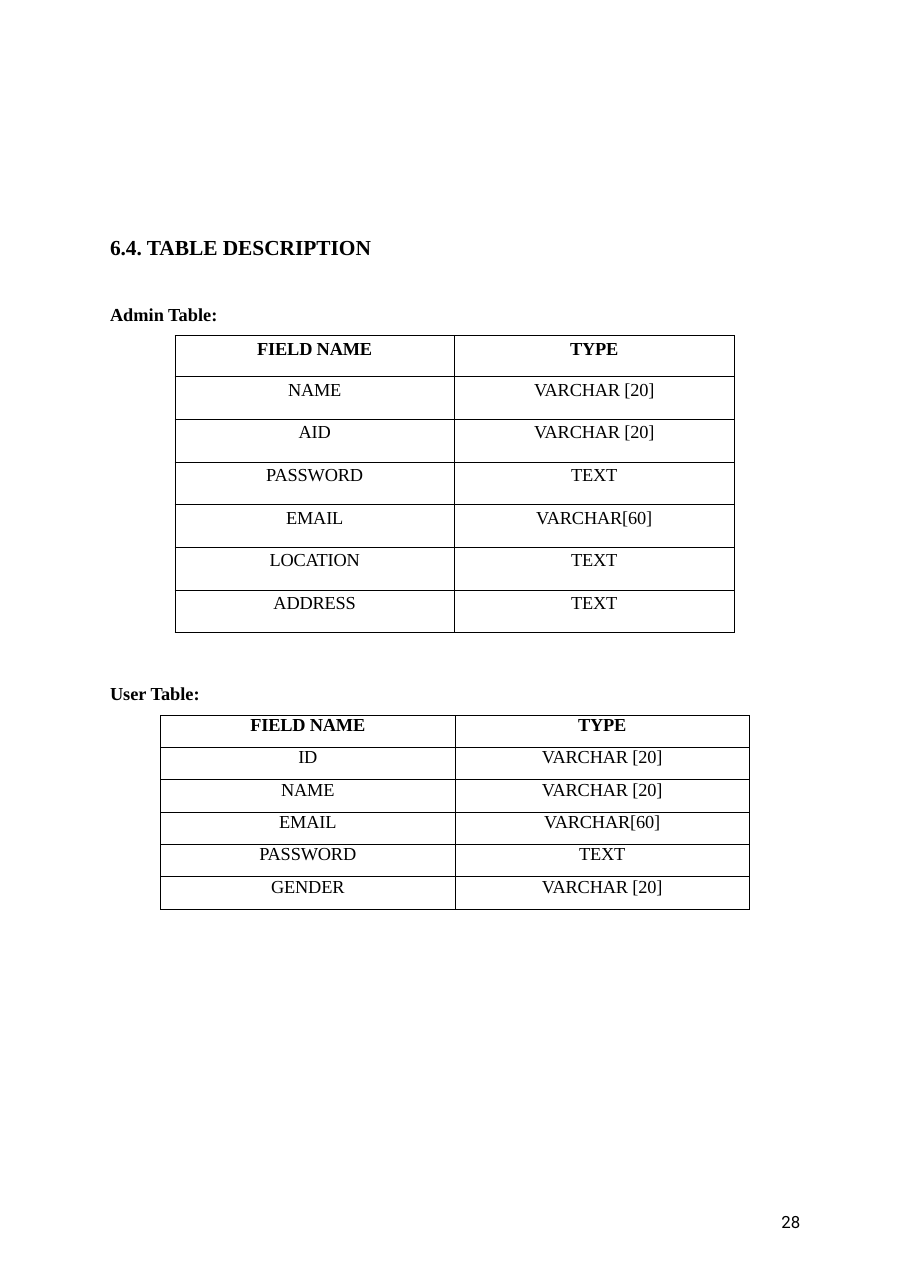
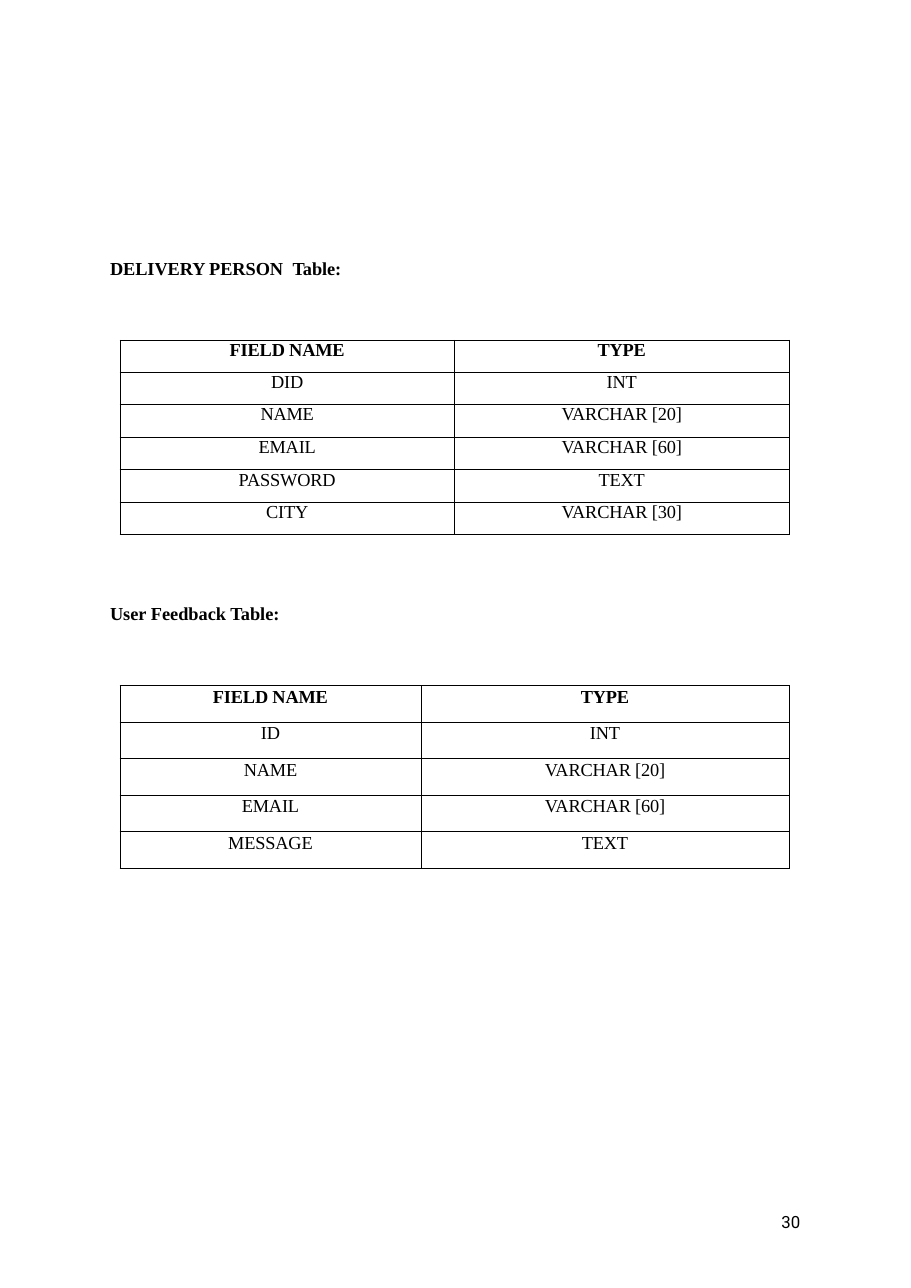
import pptx
import pptx.dml.color
import pptx.enum.text
import pptx.oxml
import pptx.oxml.ns
import pptx.util

Inches = pptx.util.Inches
BLACK = pptx.dml.color.RGBColor(0, 0, 0)
SERIF = "Times New Roman"
SANS = "Roboto"
PAGE_WIDTH = pptx.util.Pt(596)
PAGE_HEIGHT = pptx.util.Pt(842.5)
MARGIN = 1.0
HEADING_WIDTH = 6.28
BODY_SIZE = 12
BORDER_SIDES = ("a:lnL", "a:lnR", "a:lnT", "a:lnB")
HEADER = ("FIELD NAME", "TYPE")

PAGES = [
    {
        "number": "28",
        "title": (["6.4. TABLE DESCRIPTION"], 14, 2.13),
        "headings": [("Admin Table:", 2.75), ("User Table:", 6.2)],
        "tables": [
            {"left": 1.59, "top": 3.05, "width": 5.08, "height": 2.7,
             "header": 0.37, "share": 0.5, "inset": 0.03,
             "fields": [("NAME", "VARCHAR [20]"), ("AID", "VARCHAR [20]"),
                        ("PASSWORD", "TEXT"), ("EMAIL", "VARCHAR[60]"),
                        ("LOCATION", "TEXT"), ("ADDRESS", "TEXT")]},
            {"left": 1.46, "top": 6.5, "width": 5.35, "height": 1.76,
             "header": 0.29, "share": 0.5, "inset": 0,
             "fields": [("ID", "VARCHAR [20]"), ("NAME", "VARCHAR [20]"),
                        ("EMAIL", "VARCHAR[60]"), ("PASSWORD", "TEXT"),
                        ("GENDER", "VARCHAR [20]")]},
        ],
    },
    {
        "number": "30",
        "title": (["DELIVERY PERSON", " ", "Table:"], BODY_SIZE, 2.34),
        "headings": [("User Feedback Table:", 5.47)],
        "tables": [
            {"left": 1.09, "top": 3.09, "width": 6.08, "height": 1.77,
             "header": 0.29, "share": 0.5, "inset": 0,
             "fields": [("DID", "INT"), ("NAME", "VARCHAR [20]"),
                        ("EMAIL", "VARCHAR [60]"), ("PASSWORD", "TEXT"),
                        ("CITY", "VARCHAR [30]")]},
            {"left": 1.09, "top": 6.23, "width": 6.08, "height": 1.66,
             "header": 0.33, "share": 0.45, "inset": 0.01,
             "fields": [("ID", "INT"), ("NAME", "VARCHAR [20]"),
                        ("EMAIL", "VARCHAR [60]"), ("MESSAGE", "TEXT")]},
        ],
    },
]


def add_span(para, text, size=BODY_SIZE, bold=False, font=SERIF, spacing=0):
    span = para.add_run()
    span.text = text
    span.font.name = font
    span.font.size = pptx.util.Pt(size)
    span.font.bold = bold
    span.font.color.rgb = BLACK
    span._r.get_or_add_rPr().set("spc", str(round(spacing * 100)))


def prepare_box(box, left, top, width, height):
    box.left, box.top = Inches(left), Inches(top)
    box.width, box.height = Inches(width), Inches(height)
    frame = box.text_frame
    frame.margin_left = frame.margin_right = 0
    frame.margin_top = frame.margin_bottom = 0
    frame.word_wrap = True
    frame.auto_size = pptx.enum.text.MSO_AUTO_SIZE.NONE
    frame.vertical_anchor = pptx.enum.text.MSO_ANCHOR.TOP
    para = frame.paragraphs[0]
    para.alignment = pptx.enum.text.PP_ALIGN.LEFT
    return para


deck = pptx.Presentation()
deck.slide_width = PAGE_WIDTH
deck.slide_height = PAGE_HEIGHT
title_only = deck.slide_layouts[5]

for content in PAGES:
    page = deck.slides.add_slide(title_only)

    words, size, top = content["title"]
    para = prepare_box(page.shapes.title, MARGIN, top, HEADING_WIDTH, 0.25)
    for word in words:
        add_span(para, word, size, True, spacing=3 if word == " " else -0.05)

    for text, top in content["headings"]:
        box = page.shapes.add_textbox(0, 0, 0, 0)
        para = prepare_box(box, MARGIN, top, HEADING_WIDTH, 0.22)
        add_span(para, text, bold=True)

    box = page.shapes.add_textbox(0, 0, 0, 0)
    para = prepare_box(box, 7.1, 11.01, 0.25, 0.2)
    add_span(para, content["number"], 11, font=SANS)

    for entry in content["tables"]:
        rows = [HEADER] + entry["fields"]
        width, height = entry["width"], entry["height"]
        table = page.shapes.add_table(
            len(rows), 2, Inches(entry["left"]), Inches(entry["top"]),
            Inches(width), Inches(height)).table
        table.first_row = table.horz_banding = False
        table.columns[0].width = Inches(width * entry["share"])
        table.columns[1].width = Inches(width * (1 - entry["share"]))
        field_height = (height - entry["header"]) / len(entry["fields"])

        for row_index, row in enumerate(rows):
            is_header = row_index == 0
            table.rows[row_index].height = Inches(
                entry["header"] if is_header else field_height)
            for column_index, text in enumerate(row):
                cell = table.cell(row_index, column_index)
                cell.margin_left = cell.margin_right = cell.margin_bottom = 0
                cell.margin_top = Inches(entry["inset"])
                cell.vertical_anchor = pptx.enum.text.MSO_ANCHOR.TOP
                para = cell.text_frame.paragraphs[0]
                para.alignment = pptx.enum.text.PP_ALIGN.CENTER
                add_span(para, text, bold=is_header, spacing=-0.1)
                properties = cell._tc.get_or_add_tcPr()
                for side in BORDER_SIDES:
                    properties.append(pptx.oxml.parse_xml(
                        f'<{side} {pptx.oxml.ns.nsdecls("a")} w="6350">'
                        f'<a:solidFill><a:srgbClr val="{BLACK}"/></a:solidFill>'
                        f'</{side}>'))
                cell.fill.background()

deck.save("out.pptx")
